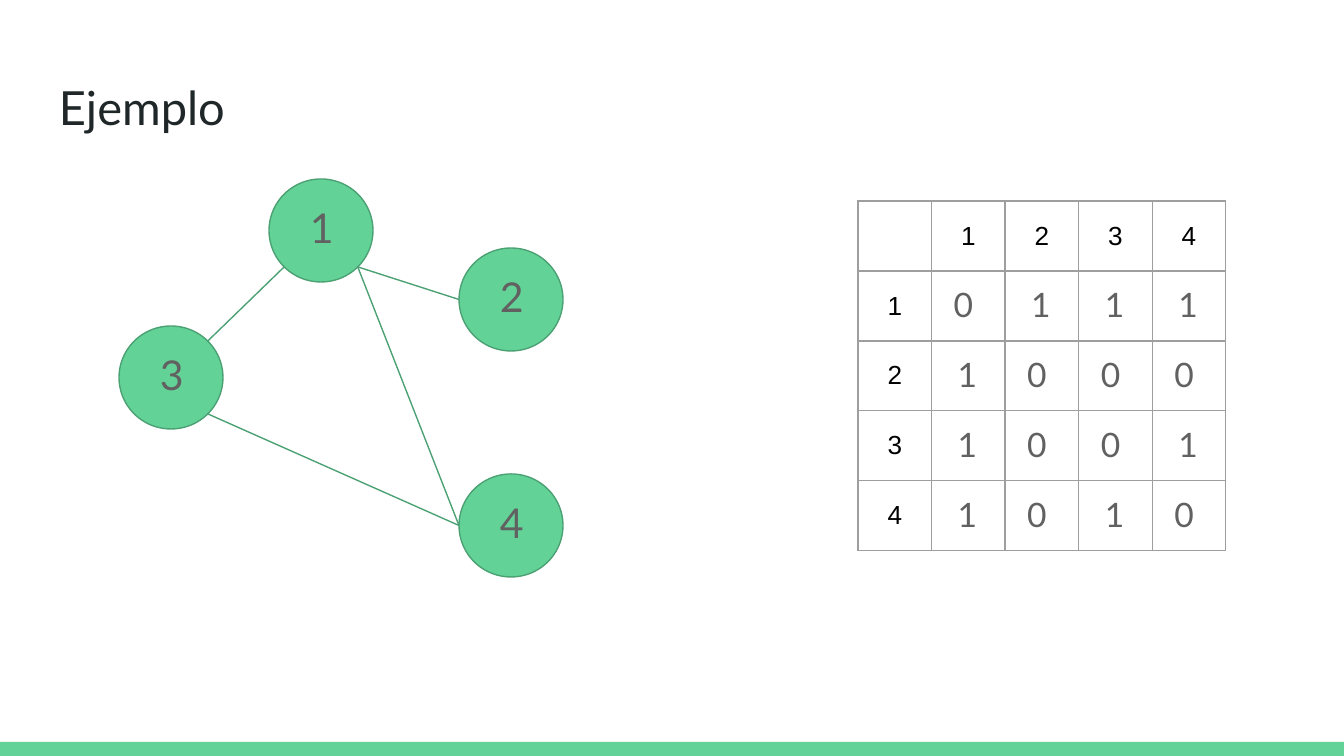
from dataclasses import dataclass
from math import sqrt

from lxml import etree
from pptx import Presentation
from pptx.dml.color import RGBColor
from pptx.enum.shapes import MSO_CONNECTOR, MSO_SHAPE
from pptx.enum.text import MSO_ANCHOR, PP_ALIGN
from pptx.oxml.ns import qn
from pptx.util import Emu, Pt

ELLIPSE, RECTANGLE = MSO_SHAPE.OVAL, MSO_SHAPE.RECTANGLE
STRAIGHT = MSO_CONNECTOR.STRAIGHT
MIDDLE, CENTER = MSO_ANCHOR.MIDDLE, PP_ALIGN.CENTER

EMU_PER_PX = 914400 / 134.4
SLIDE_W, SLIDE_H = 1344, 756
INSET = 13
GREEN, DARK_GREEN = "63D297", "4BA173"
INK, GREY, BLACK, BORDER = "202729", "616161", "000000", "9E9E9E"
THIN = Pt(0.75)

NODE_W, NODE_H = 104, 103
MATRIX_LEFT, MATRIX_TOP, MATRIX_W, ROW_H = 858, 201, 368, 70
ZERO_SHIFT = 4
ADJACENCY = ["0111", "1000", "1001", "1010"]

# Points on a node's outline, as fractions of its width and height
NEAR, FAR = (1 - sqrt(0.5)) / 2, (1 + sqrt(0.5)) / 2
LEFT, TOP_RIGHT = (0, 0.5), (FAR, NEAR)
BOTTOM_LEFT, BOTTOM_RIGHT = (NEAR, FAR), (FAR, FAR)


@dataclass(frozen=True)
class Node:
    label: str
    left: int
    top: int

    def point(self, site: tuple[float, float]) -> tuple[Emu, Emu]:
        return px(self.left + site[0] * NODE_W), px(self.top + site[1] * NODE_H)


@dataclass(frozen=True)
class Edge:
    start: Node
    start_site: tuple[float, float]
    end: Node
    end_site: tuple[float, float]


def px(length: float) -> Emu:
    return Emu(round(length * EMU_PER_PX))


def color(hex_code: str) -> RGBColor:
    return RGBColor.from_string(hex_code)


def add_run(paragraph, text: str, size: float, hex_code: str, font: str = "Lato") -> None:
    run = paragraph.add_run()
    run.text = text
    run.font.name = font
    run.font.size = Pt(size)
    run.font.color.rgb = color(hex_code)


def add_text(slide, text: str, left: float, top: float, width: int, height: int,
             size: float, hex_code: str, left_inset: int = INSET) -> None:
    box = slide.shapes.add_textbox(px(left), px(top), px(width), px(height))
    frame = box.text_frame
    frame.word_wrap = True
    frame.margin_left = px(left_inset)
    frame.margin_top = frame.margin_right = frame.margin_bottom = px(INSET)
    add_run(frame.paragraphs[0], text, size, hex_code)


def add_filled_shape(slide, kind, left: int, top: int, width: int, height: int):
    shape = slide.shapes.add_shape(kind, px(left), px(top), px(width), px(height))
    shape.shadow.inherit = False
    shape.fill.solid()
    shape.fill.fore_color.rgb = color(GREEN)
    shape.line.fill.background()
    return shape


def draw_node(slide, node: Node) -> None:
    circle = add_filled_shape(slide, ELLIPSE, node.left, node.top, NODE_W, NODE_H)
    circle.line.color.rgb = color(DARK_GREEN)
    circle.line.width = THIN
    add_text(slide, node.label, node.left + 28, node.top + 10, 47, 82, 22, GREY)


def draw_edge(slide, edge: Edge) -> None:
    line = slide.shapes.add_connector(
        STRAIGHT, *edge.start.point(edge.start_site), *edge.end.point(edge.end_site))
    line.line.color.rgb = color(DARK_GREEN)
    line.line.width = THIN
    etree.SubElement(line._element.spPr, qn("a:effectLst"))


def set_borders(cell) -> None:
    properties = cell._tc.get_or_add_tcPr()
    for position, side in enumerate(("a:lnL", "a:lnR", "a:lnT", "a:lnB")):
        border = etree.Element(qn(side), w=str(int(THIN)))
        fill = etree.SubElement(border, qn("a:solidFill"))
        etree.SubElement(fill, qn("a:srgbClr"), val=BORDER)
        properties.insert(position, border)


def draw_grid(slide, labels: list[str]) -> None:
    """Draw the ruled table with its row and column headings."""
    count = len(labels) + 1
    table = slide.shapes.add_table(
        count, count, px(MATRIX_LEFT), px(MATRIX_TOP),
        px(MATRIX_W), px(ROW_H * count)).table
    table.first_row = table.horz_banding = False
    for row in table.rows:
        row.height = px(ROW_H)
    for cell in table.iter_cells():
        cell.fill.background()
        cell.vertical_anchor = MIDDLE
        cell.margin_left = cell.margin_right = px(INSET)
        cell.margin_top = cell.margin_bottom = px(INSET)
        set_borders(cell)
    for index, label in enumerate(labels, start=1):
        for heading in (table.cell(0, index), table.cell(index, 0)):
            paragraph = heading.text_frame.paragraphs[0]
            paragraph.alignment = CENTER
            add_run(paragraph, label, 14, BLACK, "Arial")


def draw_entries(slide) -> None:
    """Place the adjacency values over the grid, zeros slightly to the left."""
    column_w = MATRIX_W / (len(ADJACENCY) + 1)
    for row, values in enumerate(ADJACENCY, start=1):
        for column, value in enumerate(values, start=1):
            shift = ZERO_SHIFT if value == "0" else 0
            add_text(slide, value, MATRIX_LEFT + column * column_w - shift,
                     MATRIX_TOP + row * ROW_H, 74, 71, 18, GREY, 2 * INSET)


def main() -> None:
    presentation = Presentation()
    presentation.slide_width, presentation.slide_height = px(SLIDE_W), px(SLIDE_H)
    slide = presentation.slides.add_slide(presentation.slide_layouts[6])

    add_filled_shape(slide, RECTANGLE, 0, 742, SLIDE_W, 14)
    add_text(slide, "Ejemplo", 46, 66, 1253, 85, 25.2, INK)

    one, two = Node("1", 269, 179), Node("2", 459, 248)
    three, four = Node("3", 119, 326), Node("4", 459, 474)
    nodes = [one, two, three, four]
    edges = [
        Edge(three, BOTTOM_RIGHT, four, LEFT),
        Edge(one, BOTTOM_RIGHT, four, LEFT),
        Edge(one, BOTTOM_RIGHT, two, LEFT),
        Edge(one, BOTTOM_LEFT, three, TOP_RIGHT),
    ]
    for node in nodes:
        draw_node(slide, node)
    for edge in edges:
        draw_edge(slide, edge)

    draw_grid(slide, [node.label for node in nodes])
    draw_entries(slide)
    presentation.save("out.pptx")


if __name__ == "__main__":
    main()
